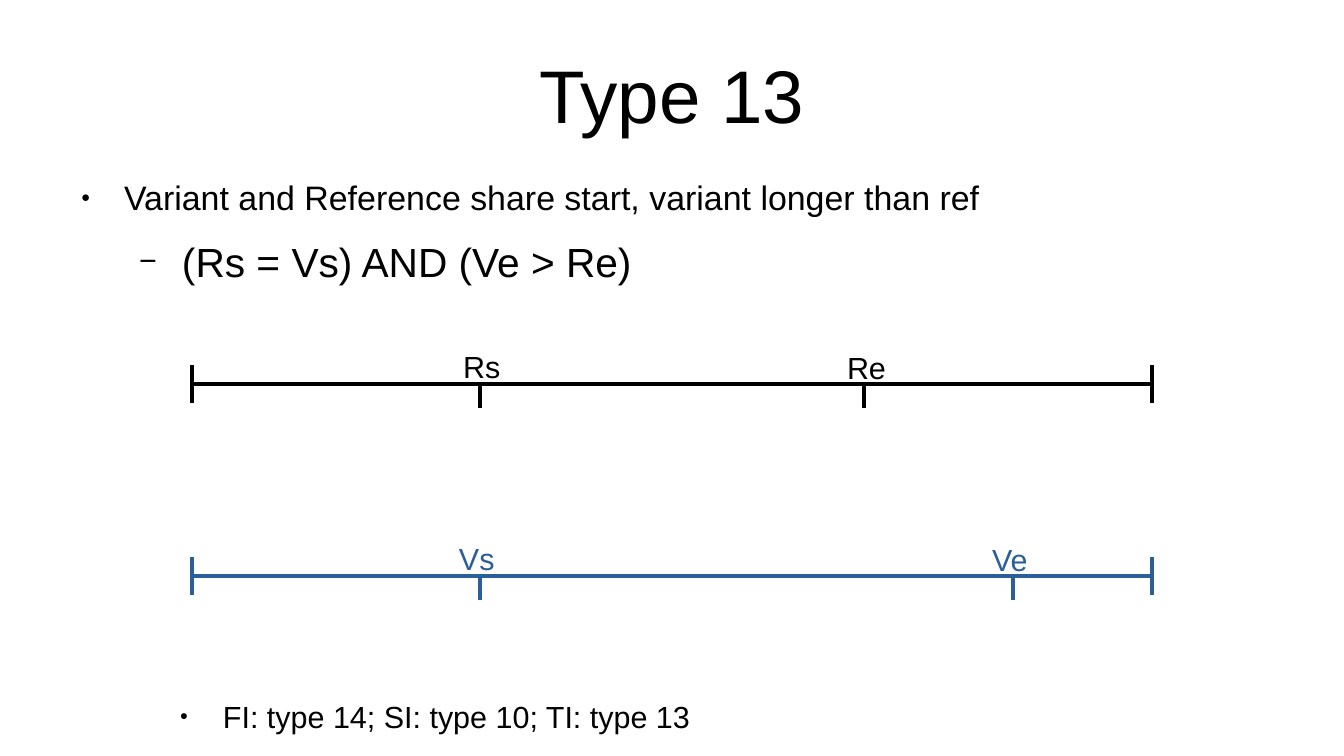
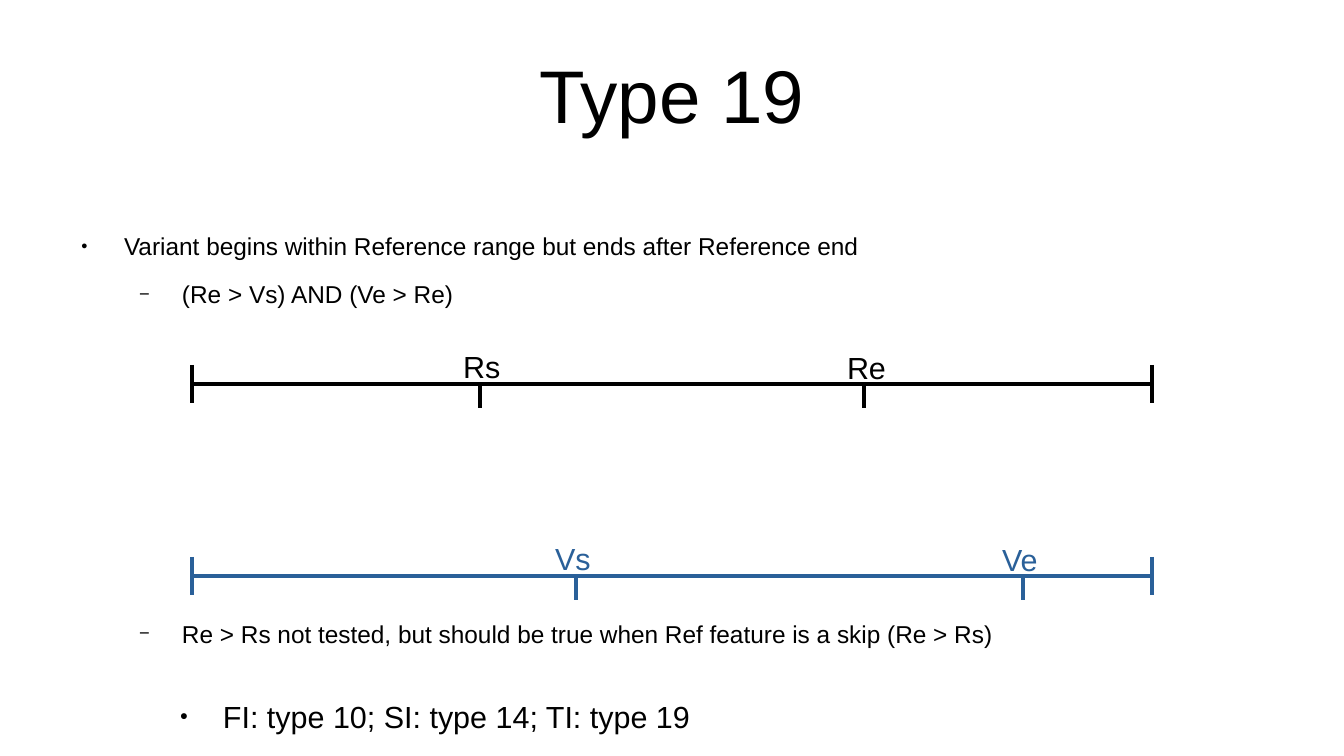
from lxml import etree
from pptx import Presentation
from pptx.dml.color import RGBColor
from pptx.enum.shapes import MSO_CONNECTOR
from pptx.enum.text import MSO_ANCHOR, MSO_AUTO_SIZE, PP_ALIGN
from pptx.oxml.ns import qn
from pptx.util import Pt

LINE = MSO_CONNECTOR.STRAIGHT
MIDDLE, TOP = MSO_ANCHOR.MIDDLE, MSO_ANCHOR.TOP
FIXED = MSO_AUTO_SIZE.NONE
LEFT, CENTER = PP_ALIGN.LEFT, PP_ALIGN.CENTER

SCALE = 7495  # EMU per px, 122 px to the inch
FONT = "Arial"
COLORS = {"ref": "000000", "var": "2A6099", "text": "000000"}

# Bullet levels: sign, size in percent, left margin in px
LEVELS = [("●", 45, 57), ("−", 75, 115)]
HANG = 43
GAPS = [14.2, 11.3]

TITLE_BOX = (67, 30, 1210, 127)
NOTE_BOX = (154, 692, 883, 46)
REF_BOX = (192, 365, 960, 38)
VAR_BOX = (192, 557, 960, 38)

SLIDES = [
    {
        "title": "Type 13",
        "body": (67, 177, 1210, 332),
        "points": [
            (0, "Variant and Reference share start, variant longer than ref", 20, None),
            (1, "(Rs = Vs) AND (Ve > Re)", 24, None),
        ],
        "ticks": (288, 821),
        "note": "FI: type 14; SI: type 10; TI: type 13",
    },
    {
        "title": "Type 19",
        "body": (67, 231, 1210, 439),
        "points": [
            (0, "Variant begins within Reference range but ends after Reference end", 14.4, None),
            (1, "(Re > Vs) AND (Ve > Re)", 14.4, None),
            (1, "Re > Rs not tested, but should be true when Ref feature is a skip (Re > Rs)",
             14.4, 183),
        ],
        "ticks": (384, 831),
        "note": "FI: type 10; SI: type 14; TI: type 19",
    },
]


def px(n):
    return int(n * SCALE)


def color(name):
    return RGBColor.from_string(COLORS[name])


def place(shape, box):
    shape.left, shape.top, shape.width, shape.height = map(px, box)


def style(para, size, hue="text"):
    for run in para.runs:
        run.font.name = FONT
        run.font.size = Pt(size)
        run.font.color.rgb = color(hue)


def bullet(para, level, gap):
    """Give a paragraph the sign, indent and spacing of its level."""
    sign, share, margin = LEVELS[level]
    para.level = level
    para.alignment = LEFT
    para.space_before = Pt(gap or GAPS[level])
    props = para._p.get_or_add_pPr()
    props.set("marL", str(px(margin)))
    props.set("indent", str(-px(HANG)))
    hue = etree.SubElement(props, qn("a:buClr"))
    etree.SubElement(hue, qn("a:srgbClr"), val=COLORS["text"])
    etree.SubElement(props, qn("a:buSzPct"), val=str(share * 1000))
    etree.SubElement(props, qn("a:buFont"), typeface=FONT)
    etree.SubElement(props, qn("a:buChar"), char=sign)


def fit(shape, box, anchor):
    """Place a placeholder without insets or shrinking."""
    place(shape, box)
    frame = shape.text_frame
    frame.margin_left = frame.margin_right = 0
    frame.margin_top = frame.margin_bottom = 0
    frame.auto_size = FIXED
    frame.word_wrap = True
    frame.vertical_anchor = anchor
    return frame


def add_title(slide, text):
    frame = fit(slide.shapes.title, TITLE_BOX, MIDDLE)
    frame.text = text
    para = frame.paragraphs[0]
    para.alignment = CENTER
    style(para, 44)


def add_list(frame, points):
    for i, (level, text, size, gap) in enumerate(points):
        para = frame.add_paragraph() if i else frame.paragraphs[0]
        para.text = text
        bullet(para, level, gap)
        style(para, size)


def add_text(slide, box):
    shape = slide.shapes.add_textbox(*map(px, box))
    shape.text_frame.word_wrap = True
    return shape.text_frame


def add_line(group, start, end, hue):
    line = group.shapes.add_connector(LINE, *map(px, start + end))
    line.line.color.rgb = color(hue)
    line.line.width = Pt(2.83)
    etree.SubElement(line._element.spPr, qn("a:effectLst"))


def add_range(slide, box, hue, ticks, names, shift):
    """Draw an axis with end caps, two ticks below it and their labels."""
    left, top, width, height = box
    right, mid = left + width, top + height // 2
    group = slide.shapes.add_group_shape()
    add_line(group, (left, mid), (right, mid), hue)
    for x in (left, right):
        add_line(group, (x, top), (x, top + height), hue)
    for i, (tick, name) in enumerate(zip(ticks, names)):
        x = left + tick
        add_line(group, (x, mid), (x, mid + 24), hue)
        frame = add_text(slide, (x - shift, mid - 42 + i, 87, 80))
        frame.text = name
        style(frame.paragraphs[0], 18, hue)


def add_slide(deck, data):
    slide = deck.slides.add_slide(deck.slide_layouts[1])
    add_title(slide, data["title"])
    add_list(fit(slide.placeholders[1], data["body"], TOP), data["points"])
    add_range(slide, REF_BOX, "ref", (288, 672), ("Rs", "Re"), 29)
    add_range(slide, VAR_BOX, "var", data["ticks"], ("Vs", "Ve"), 33)
    add_list(add_text(slide, NOTE_BOX), [(0, data["note"], 18, None)])


def main():
    deck = Presentation()
    deck.slide_width, deck.slide_height = px(1344), px(756)
    for data in SLIDES:
        add_slide(deck, data)
    deck.save("out.pptx")


if __name__ == "__main__":
    main()
